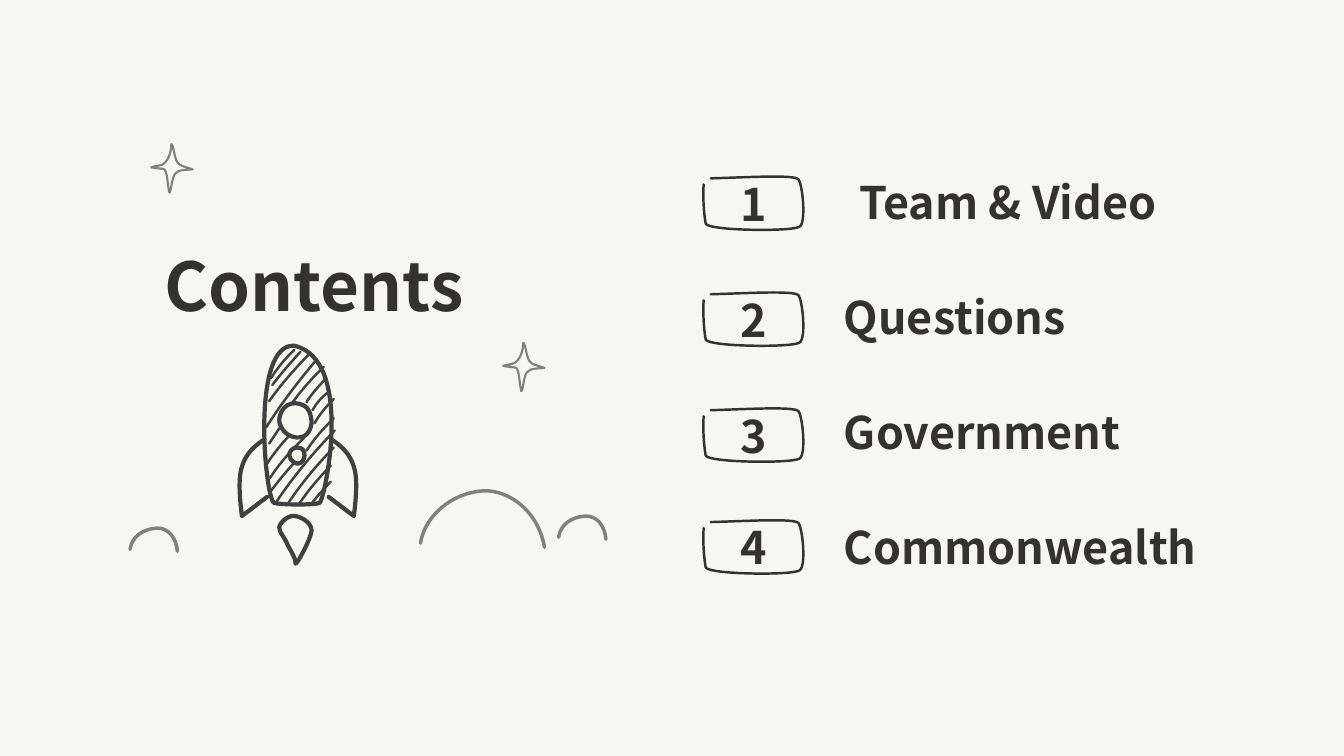
import pptx
import pptx.dml.color
import pptx.enum.text
import pptx.util
from dataclasses import dataclass
from lxml import etree

Inches = pptx.util.Inches
Pt = pptx.util.Pt
ANCHOR = pptx.enum.text.MSO_ANCHOR
ALIGN = pptx.enum.text.PP_ALIGN
DRAWING = "{http://schemas.openxmlformats.org/drawingml/2006/main}"


@dataclass(frozen=True)
class Theme:
    """Colours, type and line weights of the slide."""
    paper: str = "F7F7F2"
    ink: str = "34322F"
    rocket: str = "404040"
    scenery: str = "808080"
    font: str = "Noto Sans CJK JP"
    title_size: int = 48
    item_size: int = 32
    thin: float = 1.75
    heavy: float = 3
    cloud: float = 2.5
    star: float = 1.5


THEME = Theme()

TITLE = "Contents"
# Text, left indent, top of the number badge
ITEMS = [
    ("Team & Video", 0.15, 1.75),
    ("Questions", 0, 2.9),
    ("Government", 0, 4.05),
    ("Commonwealth", 0, 5.16),
]
BADGE_LEFT = 6.98
ITEM_GAP = 43.8

# An outline is its start point, then segments: two numbers for a straight
# line, six for a Bezier curve.
BADGE = [(0.07, 0.02), (0.43, 0.01, 0.9, -0.02, 0.94, 0.03),
         (0.98, 0.08, 1.02, 0.46, 0.95, 0.5), (0.87, 0.55, 0.05, 0.54, 0.02, 0.47),
         (0, 0.36, -0.01, 0.18, 0, 0.08)]
STAR = [(0.2, 0), (0.22, 0, 0.23, 0.14, 0.26, 0.18), (0.29, 0.22, 0.32, 0.22, 0.41, 0.25),
        (0.32, 0.26, 0.28, 0.25, 0.24, 0.29), (0.2, 0.33, 0.2, 0.48, 0.18, 0.48),
        (0.16, 0.4, 0.16, 0.27, 0.13, 0.25), (0.1, 0.24, 0.04, 0.24, 0, 0.23),
        (0.05, 0.21, 0.11, 0.22, 0.14, 0.18), (0.18, 0.14, 0.2, 0.06, 0.2, 0)]
SMALL_CLOUD = [(0.47, 0.23), (0.46, 0.1, 0.38, -0.01, 0.26, 0), (0.13, 0.01, 0.02, 0.08, 0, 0.21)]
LARGE_CLOUD = [(1.23, 0.56), (1.18, 0.25, 0.94, 0.02, 0.67, 0), (0.39, -0.01, 0.06, 0.19, 0, 0.52)]
STAR_PLACES = [(4.99, 3.4), (1.5, 1.43)]
SMALL_CLOUD_PLACES = [(5.54, 5.12), (1.29, 5.24)]
LARGE_CLOUD_PLACE = (4.17, 4.87)

HULL = [(2.72, 4.99), (2.63, 4.96, 2.48, 3.4, 2.92, 3.43), (3.52, 3.57, 3.22, 4.96, 3.17, 4.99),
        (3.11, 5.01, 2.81, 5.01, 2.72, 4.99)]
FIN = [(2.65, 4.93), (2.4, 5.12), (2.38, 4.96, 2.36, 4.75, 2.4, 4.63),
       (2.44, 4.5, 2.52, 4.43, 2.62, 4.36)]
LARGE_WINDOW = [(2.77, 4.17), (2.77, 4.11, 2.81, 4, 2.93, 4), (3.05, 4.01, 3.08, 4.08, 3.09, 4.18),
                (3.09, 4.24, 3.06, 4.35, 2.94, 4.34), (2.82, 4.33, 2.77, 4.22, 2.77, 4.17)]
SMALL_WINDOW = [(2.87, 4.51), (2.87, 4.49, 2.89, 4.44, 2.95, 4.44), (3, 4.44, 3.02, 4.47, 3.02, 4.52),
                (3.02, 4.55, 3, 4.6, 2.95, 4.6), (2.89, 4.59, 2.87, 4.54, 2.87, 4.51)]
FLAME = [(2.93, 5.59), (2.94, 5.55, 2.88, 5.46, 2.85, 5.4), (2.83, 5.34, 2.76, 5.27, 2.77, 5.23),
         (2.78, 5.18, 2.86, 5.11, 2.92, 5.12), (2.97, 5.12, 3.09, 5.18, 3.09, 5.26),
         (3.09, 5.34, 2.93, 5.63, 2.93, 5.59)]
ROCKET_AXIS = 2.955
# Hatching strokes: start, middle and end, as x and y
HATCHING = [
    (3.1, 4.07, 3.17, 3.97, 3.27, 3.88), (2.67, 3.98, 2.85, 3.75, 3.07, 3.51),
    (2.67, 4.4, 2.73, 4.31, 2.79, 4.22), (3.04, 3.99, 3.12, 3.88, 3.23, 3.76),
    (2.74, 4.98, 3, 4.63, 3.32, 4.27), (2.89, 4.01, 3.03, 3.83, 3.21, 3.64),
    (2.64, 4.24, 2.86, 3.92, 3.13, 3.58), (2.7, 3.82, 2.83, 3.66, 2.98, 3.49),
    (2.96, 5.01, 3.1, 4.82, 3.28, 4.62), (2.68, 4.88, 2.79, 4.74, 2.91, 4.6),
    (2.68, 4.74, 2.83, 4.54, 3.02, 4.34), (3.12, 4.2, 3.2, 4.08, 3.31, 3.96),
    (2.65, 4.6, 2.75, 4.46, 2.88, 4.31), (2.69, 3.75, 2.79, 3.61, 2.92, 3.47),
    (3.04, 4.47, 3.16, 4.31, 3.31, 4.15), (2.86, 4.99, 3.06, 4.72, 3.31, 4.44),
    (3.08, 5.01, 3.17, 4.9, 3.28, 4.78),
]


def rgb(value):
    """Turn a hex string into a colour."""
    return pptx.dml.color.RGBColor.from_string(value)


def write_text(paragraph, text, size=THEME.item_size, color=THEME.ink, align=ALIGN.LEFT,
               bold=True, space_after=0, indent=0):
    """Write one formatted run into a paragraph."""
    paragraph.alignment = align
    paragraph.line_spacing = 1.0
    paragraph.space_before = Pt(0)
    paragraph.space_after = Pt(space_after)
    properties = paragraph._p.get_or_add_pPr()
    properties.set("marL", str(Inches(indent)))
    properties.set("indent", "0")
    etree.SubElement(properties, DRAWING + "buNone")
    run = paragraph.add_run()
    run.text = text
    run.font.name, run.font.size, run.font.bold = THEME.font, Pt(size), bold
    run.font.color.rgb = rgb(color)


def set_frame(shape, anchor, inset=0):
    """Give a text frame its anchor and side insets."""
    frame = shape.text_frame
    frame.word_wrap = True
    frame.auto_size = pptx.enum.text.MSO_AUTO_SIZE.NONE
    frame.vertical_anchor = anchor
    frame.margin_left = frame.margin_right = Inches(inset)
    frame.margin_top = frame.margin_bottom = 0
    return frame


def place(shape, left, top, width, height):
    """Move and size a shape, in inches."""
    shape.left, shape.top = Inches(left), Inches(top)
    shape.width, shape.height = Inches(width), Inches(height)


def pairs(numbers):
    """Group a flat run of numbers into x, y points."""
    return list(zip(numbers[::2], numbers[1::2]))


def trace(outline, steps=16):
    """List points along an outline, to find its extent."""
    points = [outline[0][0]]
    for segment in outline[1:]:
        if len(segment) == 1:
            points += segment
            continue
        controls = [points[-1], *segment]
        for step in range(1, steps + 1):
            t = step / steps
            weights = ((1 - t) ** 3, 3 * t * (1 - t) ** 2, 3 * t * t * (1 - t), t ** 3)
            points.append(tuple(sum(w * p[axis] for w, p in zip(weights, controls))
                                for axis in (0, 1)))
    return points


def draw(slide, outline, color, weight, at=(0, 0), mirror=None):
    """Draw an unfilled curved outline, shifted or mirrored about an axis."""
    def locate(x, y):
        x = x if mirror is None else 2 * mirror - x
        return Inches(x + at[0]), Inches(y + at[1])

    outline = [[locate(*point) for point in pairs(part)] for part in outline]
    points = trace(outline)
    builder = slide.shapes.build_freeform(*points[0], scale=1.0)
    builder.add_line_segments(points[1:], close=False)
    shape = builder.convert_to_shape()
    curve = shape._element.find(".//" + DRAWING + "path")
    for command in list(curve):
        curve.remove(command)
    for index, part in enumerate(outline):
        name = "moveTo" if index == 0 else "lnTo" if len(part) == 1 else "cubicBezTo"
        command = etree.SubElement(curve, DRAWING + name)
        for x, y in part:
            etree.SubElement(command, DRAWING + "pt", x=str(x - shape.left), y=str(y - shape.top))
    if outline[0][0] == outline[-1][-1]:
        etree.SubElement(curve, DRAWING + "close")
    shape.shadow.inherit = False
    shape.fill.background()
    shape.line.color.rgb = rgb(color)
    shape.line.width = Pt(weight)
    stroke = shape.line._get_or_add_ln()
    stroke.set("cap", "rnd")
    etree.SubElement(stroke, DRAWING + "round")
    return shape


def bend(stroke):
    """Make the curve that runs through a stroke's start, middle and end."""
    start, middle, end = pairs(stroke)
    pull = [2 * m - (s + e) / 2 for s, m, e in zip(start, middle, end)]
    first = [(s + 2 * p) / 3 for s, p in zip(start, pull)]
    second = [(e + 2 * p) / 3 for e, p in zip(end, pull)]
    return [start, (*first, *second, *end)]


def draw_rocket(slide):
    """Draw the rocket with its hatching."""
    for outline in (HULL, FIN, LARGE_WINDOW, SMALL_WINDOW, FLAME):
        draw(slide, outline, THEME.rocket, THEME.heavy)
    draw(slide, FIN, THEME.rocket, THEME.heavy, mirror=ROCKET_AXIS)
    for stroke in HATCHING:
        draw(slide, bend(stroke), THEME.rocket, THEME.thin)


def draw_scenery(slide):
    """Draw the clouds and stars."""
    draw(slide, LARGE_CLOUD, THEME.scenery, THEME.cloud, at=LARGE_CLOUD_PLACE)
    for spot in SMALL_CLOUD_PLACES:
        draw(slide, SMALL_CLOUD, THEME.scenery, THEME.cloud, at=spot)
    for spot in STAR_PLACES:
        draw(slide, STAR, THEME.scenery, THEME.star, at=spot)


def add_contents(slide):
    """Fill the title and list, and number each item."""
    title, body = slide.placeholders[0], slide.placeholders[1]
    place(title, 1.53, 2.37, 4.11, 0.91)
    frame = set_frame(title, ANCHOR.MIDDLE, inset=0.1)
    write_text(frame.paragraphs[0], TITLE, size=THEME.title_size)
    place(body, 8.37, 1.73, 3.6, 4)
    frame = set_frame(body, ANCHOR.TOP)
    for number, (text, indent, top) in enumerate(ITEMS, 1):
        paragraph = frame.paragraphs[0] if number == 1 else frame.add_paragraph()
        write_text(paragraph, text, space_after=ITEM_GAP, indent=indent)
        badge = draw(slide, BADGE, THEME.ink, THEME.thin, at=(BADGE_LEFT, top))
        label = set_frame(badge, ANCHOR.MIDDLE)
        write_text(label.paragraphs[0], str(number), align=ALIGN.CENTER)


presentation = pptx.Presentation()
presentation.slide_width, presentation.slide_height = Inches(13.33), Inches(7.5)
contents_slide = presentation.slides.add_slide(presentation.slide_layouts[1])
contents_slide.background.fill.solid()
contents_slide.background.fill.fore_color.rgb = rgb(THEME.paper)
add_contents(contents_slide)
draw_rocket(contents_slide)
draw_scenery(contents_slide)
presentation.save("out.pptx")
